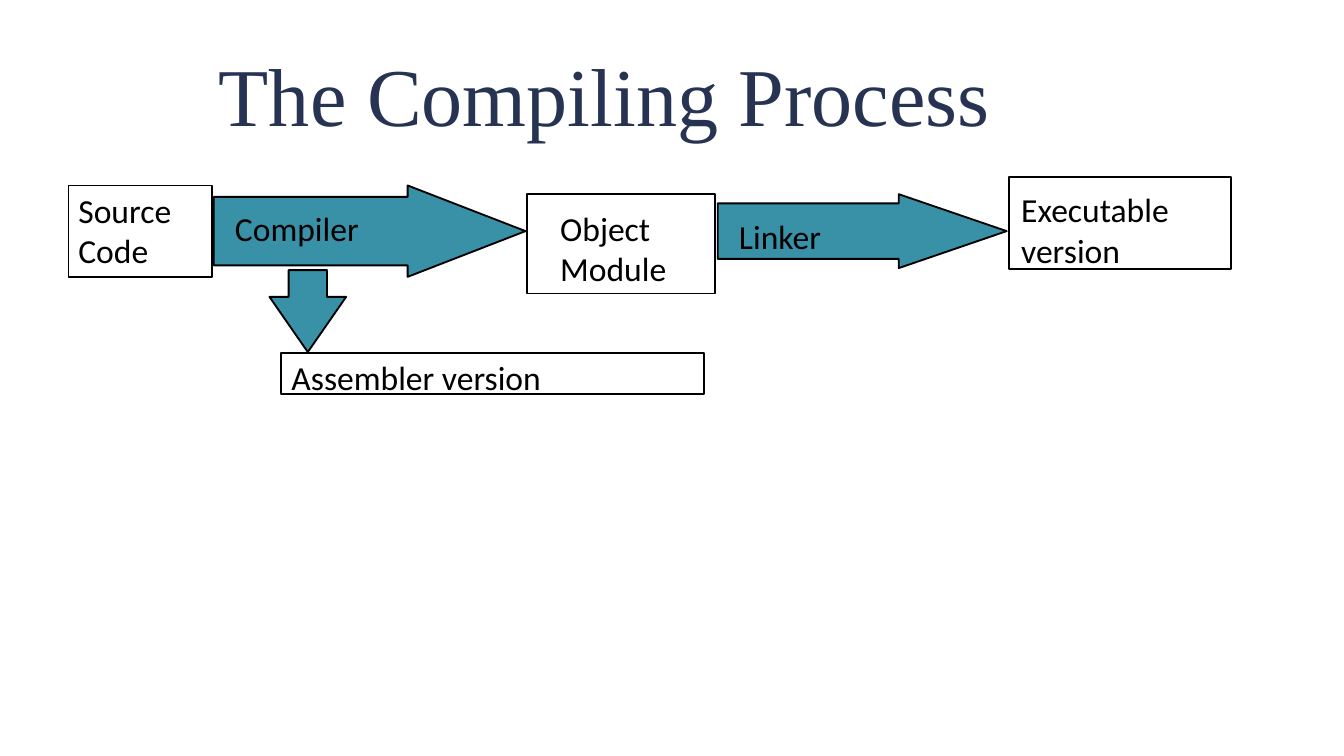
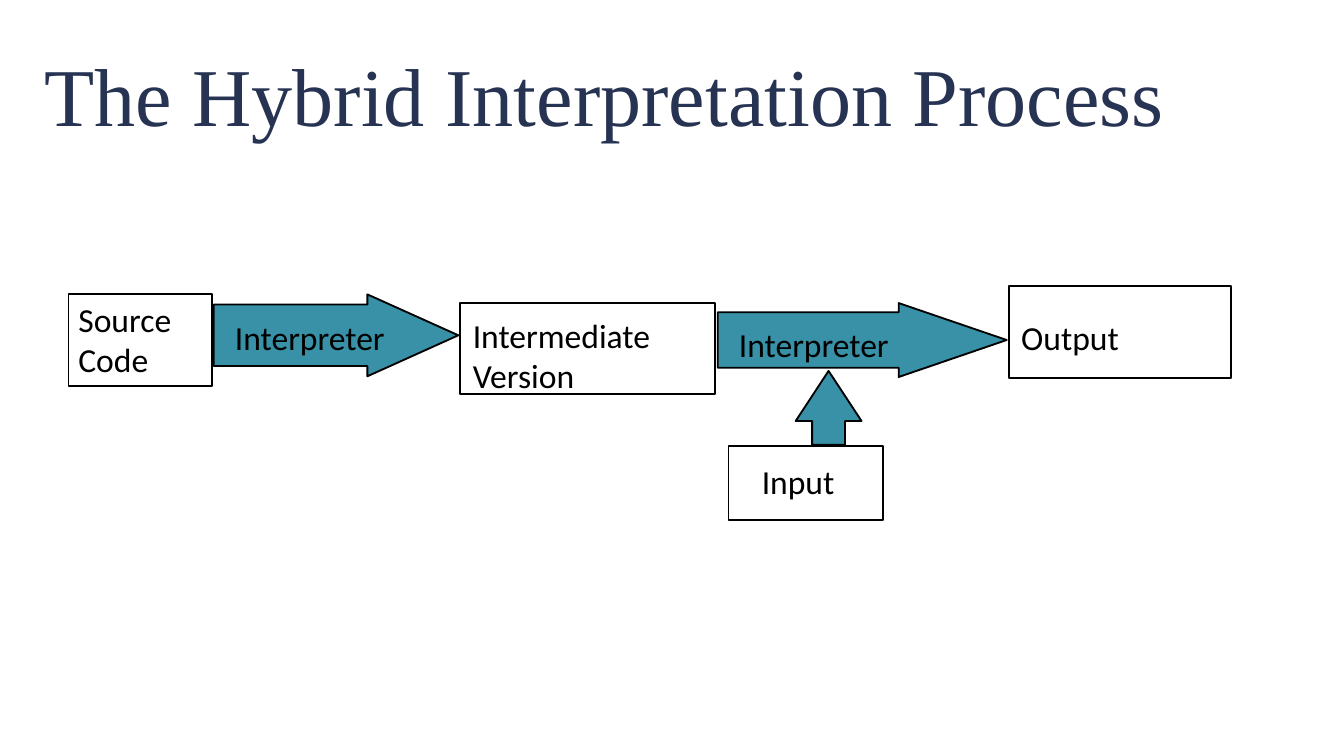
from collections import namedtuple

from pptx import Presentation
from pptx.dml.color import RGBColor
from pptx.enum.shapes import MSO_SHAPE
from pptx.enum.text import MSO_ANCHOR, MSO_AUTO_SIZE, PP_ALIGN
from pptx.util import Inches, Pt

NAVY = RGBColor(0x27, 0x33, 0x52)
TEAL = RGBColor(0x38, 0x91, 0xA7)
BLACK = RGBColor(0, 0, 0)
TITLE_FONT = "Times New Roman"
BODY_FONT = "Calibri"

COLS, ROWS = 100, 56.25
CELL = Inches(10) / COLS

Box = namedtuple("Box", "x y w h")
Label = namedtuple("Label", "text dx dy w wrap")

TITLE = Box(0, 2.3, 90, 9.4)
SOURCE = Box(0, 0.6, 10.7, 6.8)
LINK = Box(48.3, 1.25, 21.5, 5.5)
RESULT = Box(70, 0, 16.5, 6.8)
LINE_ROWS = 3


def cells(*lengths):
    return [round(n * CELL) for n in lengths]


def inside(region, part):
    return Box(region.x + part.x, region.y + part.y, part.w, part.h)


def add_title(s, box, text):
    title = s.shapes.title
    title.left, title.top, title.width, title.height = cells(*box)
    tf = title.text_frame
    tf.text = text
    tf.word_wrap = True
    tf.auto_size = MSO_AUTO_SIZE.NONE
    tf.vertical_anchor = MSO_ANCHOR.MIDDLE
    p = tf.paragraphs[0]
    p.alignment = PP_ALIGN.CENTER
    p.font.name, p.font.size = TITLE_FONT, Pt(44)
    p.font.color.rgb = NAVY


def add_label(s, box, label):
    height = 1 + LINE_ROWS * len(label.text.splitlines())
    tb = s.shapes.add_textbox(*cells(box.x + label.dx, box.y + label.dy, label.w, height))
    tf = tb.text_frame
    tf.text = label.text
    tf.word_wrap = label.wrap
    tf.auto_size = MSO_AUTO_SIZE.SHAPE_TO_FIT_TEXT
    for p in tf.paragraphs:
        p.font.name, p.font.size = BODY_FONT, Pt(18)
        p.font.color.rgb = BLACK


def add_outlined(s, kind, box):
    sp = s.shapes.add_shape(kind, *cells(*box))
    sp.shadow.inherit = False
    sp.line.color.rgb = BLACK
    sp.line.width = Pt(1)
    return sp


def add_stage(s, box, label):
    add_outlined(s, MSO_SHAPE.RECTANGLE, box).fill.background()
    add_label(s, box, label)


def add_arrow(s, box, shaft, head, label=None, turn=0):
    sp = add_outlined(s, MSO_SHAPE.RIGHT_ARROW, box)
    sp.fill.solid()
    sp.fill.fore_color.rgb = TEAL
    sp.adjustments[0], sp.adjustments[1] = shaft, head
    sp.rotation = turn
    if label:
        add_label(s, box, label)


def add_flow(s, region, first, head, middle, labels):
    tool, module, link, result = labels
    add_stage(s, inside(region, SOURCE), Label("Source\nCode", -0.25, -0.15, 9, False))
    add_arrow(s, inside(region, first), 0.75, head, tool)
    add_stage(s, inside(region, middle), module)
    add_arrow(s, inside(region, LINK), 0.75, 1.46, link)
    add_stage(s, inside(region, RESULT), result)


def add_branch(s, region, arrow, head, turn, stage, label):
    add_arrow(s, inside(region, arrow), 0.5, head, turn=turn)
    add_stage(s, inside(region, stage), label)


def compiling_slide(s):
    add_title(s, TITLE, "The Compiling Process")
    region = Box(5.1, 13.2, 86.5, 16.1)
    add_flow(s, region, Box(10.8, 0.6, 23.2, 6.8), 1.29, Box(34.1, 1.25, 14, 7.4), [
        Label("Compiler", 0.6, 1.2, 14.6, True),
        Label("Object\nModule", 1.5, 0.5, 10, False),
        Label("Linker", 0.6, 1.1, 8.2, False),
        Label("Executable\nversion", -0.1, 0.4, 17.5, True),
    ])
    add_branch(s, region, Box(14.75, 7.1, 6.1, 5.7), 0.72, 90,
               Box(15.8, 13.1, 31.5, 3),
               Label("Assembler version", -0.2, -0.2, 20.8, False))


def interpreting_slide(s):
    add_title(s, TITLE, "The Hybrid Interpretation Process")
    region = Box(5.1, 21.3, 86.5, 17.4)
    add_flow(s, region, Box(10.8, 0.6, 18.2, 6.1), 1.11, Box(29.1, 1.25, 19, 6.8), [
        Label("Interpreter", 0.6, 1.2, 17.6, True),
        Label("Intermediate\nVersion", 0, 0.4, 25.3, True),
        Label("Interpreter", 0.6, 1.1, 13.4, False),
        Label("Output", -0.1, 1.8, 17.5, True),
    ])
    add_branch(s, region, Box(53.8, 6.6, 5.5, 4.9), 0.76, 270,
               Box(49.1, 11.9, 11.5, 5.5),
               Label("Input", 1.5, 0.6, 9, True))


def main():
    prs = Presentation()
    prs.slide_width, prs.slide_height = cells(COLS, ROWS)
    for build in (compiling_slide, interpreting_slide):
        build(prs.slides.add_slide(prs.slide_layouts[5]))
    prs.save("out.pptx")


if __name__ == "__main__":
    main()
